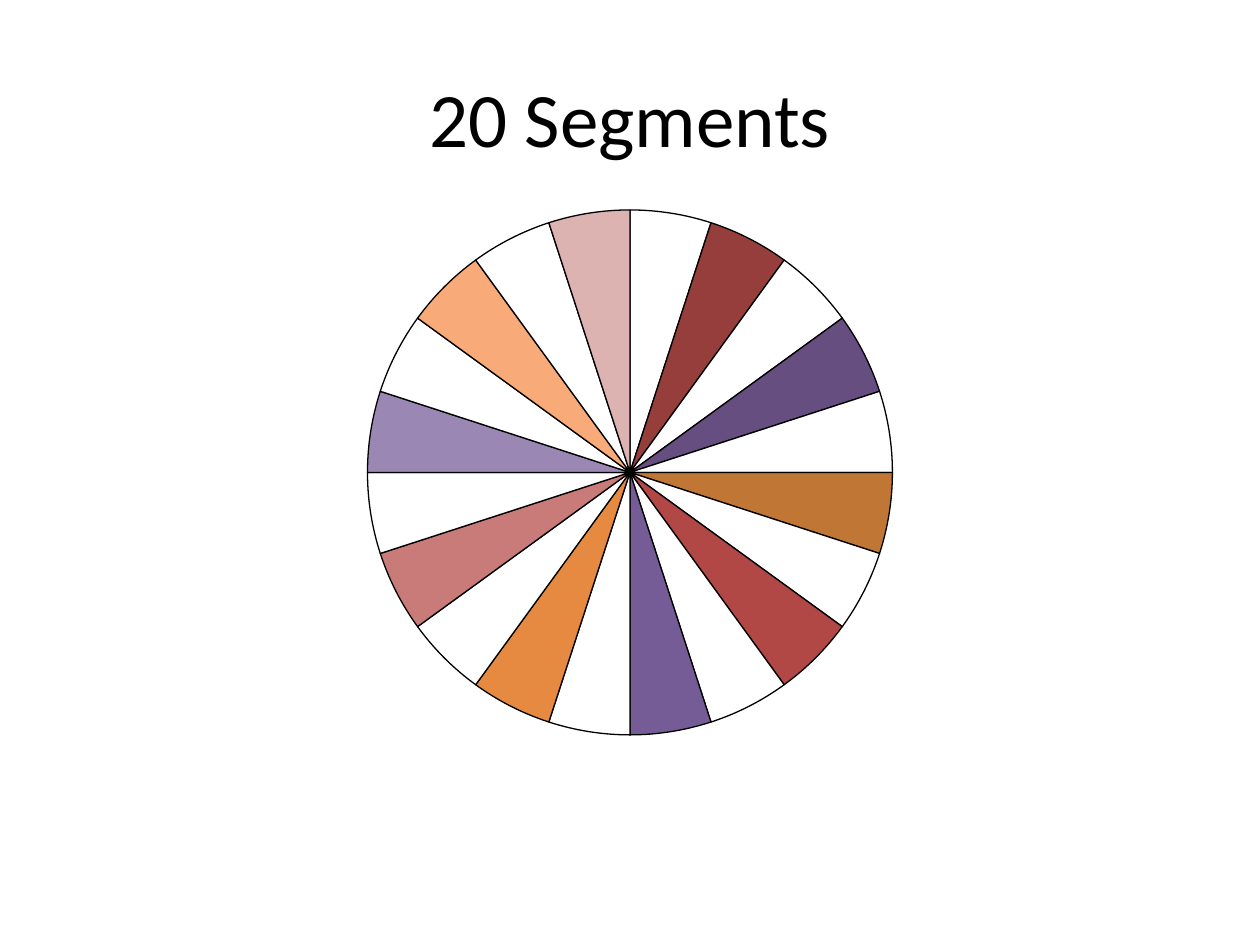
from lxml.etree import fromstring
from pptx import Presentation
from pptx.chart.data import CategoryChartData
from pptx.dml.color import RGBColor
from pptx.enum.chart import XL_CHART_TYPE
from pptx.enum.text import MSO_ANCHOR, PP_ALIGN
from pptx.util import Pt

COLOURS = {
    "black": "000000",
    "white": "FFFFFF",
    "dark red": "963E3B",
    "dark purple": "664E80",
    "dark orange": "C07635",
    "red": "B14846",
    "purple": "765C96",
    "orange": "E78A41",
    "light red": "C97B79",
    "light purple": "9A87B3",
    "light orange": "F9AA79",
    "pale red": "DDB3B2",
}
WEDGES = [name for name in COLOURS if name not in ("black", "white")]
SEGMENT_COUNT = 2 * len(WEDGES)

LAYOUT = (
    '<c:layout xmlns:c="http://schemas.openxmlformats.org/drawingml/2006/chart">'
    '<c:manualLayout><c:layoutTarget val="inner"/>'
    '<c:xMode val="edge"/><c:yMode val="edge"/>'
    '<c:x val="{x:.4f}"/><c:y val="{y:.4f}"/>'
    '<c:w val="{w:.4f}"/><c:h val="{h:.4f}"/>'
    '</c:manualLayout></c:layout>'
)


class SlideBuilder:
    font_name = "Calibri"

    def __init__(self, page):
        self.page = page

    def colour(self, name):
        return RGBColor.from_string(COLOURS[name])

    def style_font(self, font, size):
        font.name = self.font_name
        font.size = Pt(size)
        font.color.rgb = self.colour("black")

    def title(self, text, left, top, width, height):
        box = self.page.shapes.title
        box.left, box.top = Pt(left), Pt(top)
        box.width, box.height = Pt(width), Pt(height)
        frame = box.text_frame
        frame.text = text
        frame.vertical_anchor = MSO_ANCHOR.MIDDLE
        para = frame.paragraphs[0]
        para.alignment = PP_ALIGN.CENTER
        self.style_font(para.runs[0].font, 44)

    def pie(self, fills, left, top, width, height, diameter):
        data = CategoryChartData()
        data.categories = [str(number + 1) for number in range(len(fills))]
        data.add_series("Series 1", [100 / len(fills)] * len(fills))
        chart = self.page.shapes.add_chart(
            XL_CHART_TYPE.PIE, Pt(left), Pt(top), Pt(width), Pt(height), data
        ).chart
        chart.has_title = False
        chart.has_legend = False
        self.style_font(chart.font, 18)
        plot = chart.plots[0]
        plot.vary_by_categories = True
        for index, fill in enumerate(fills):
            style = plot.series[0].points[index].format
            style.fill.solid()
            style.fill.fore_color.rgb = self.colour(fill)
            style.line.color.rgb = self.colour("black")
            style.line.width = Pt(0.75)
        self.size_plot(chart, diameter / width, diameter / height)

    def size_plot(self, chart, share_x, share_y):
        area = chart._chartSpace.chart.plotArea
        for layout in area.findall("{*}layout"):
            area.remove(layout)
        area.insert(0, fromstring(LAYOUT.format(
            x=(1 - share_x) / 2, y=(1 - share_y) / 2, w=share_x, h=share_y
        )))


def main():
    deck = Presentation()
    deck.slide_width, deck.slide_height = Pt(720), Pt(540)
    builder = SlideBuilder(deck.slides.add_slide(deck.slide_layouts[5]))
    fills = [name for wedge in WEDGES for name in ("white", wedge)]
    builder.pie(fills, 120, 110, 480, 320, 300)
    builder.title(f"{SEGMENT_COUNT} Segments", 36, 21.6, 648, 90)
    deck.save("out.pptx")


if __name__ == "__main__":
    main()
